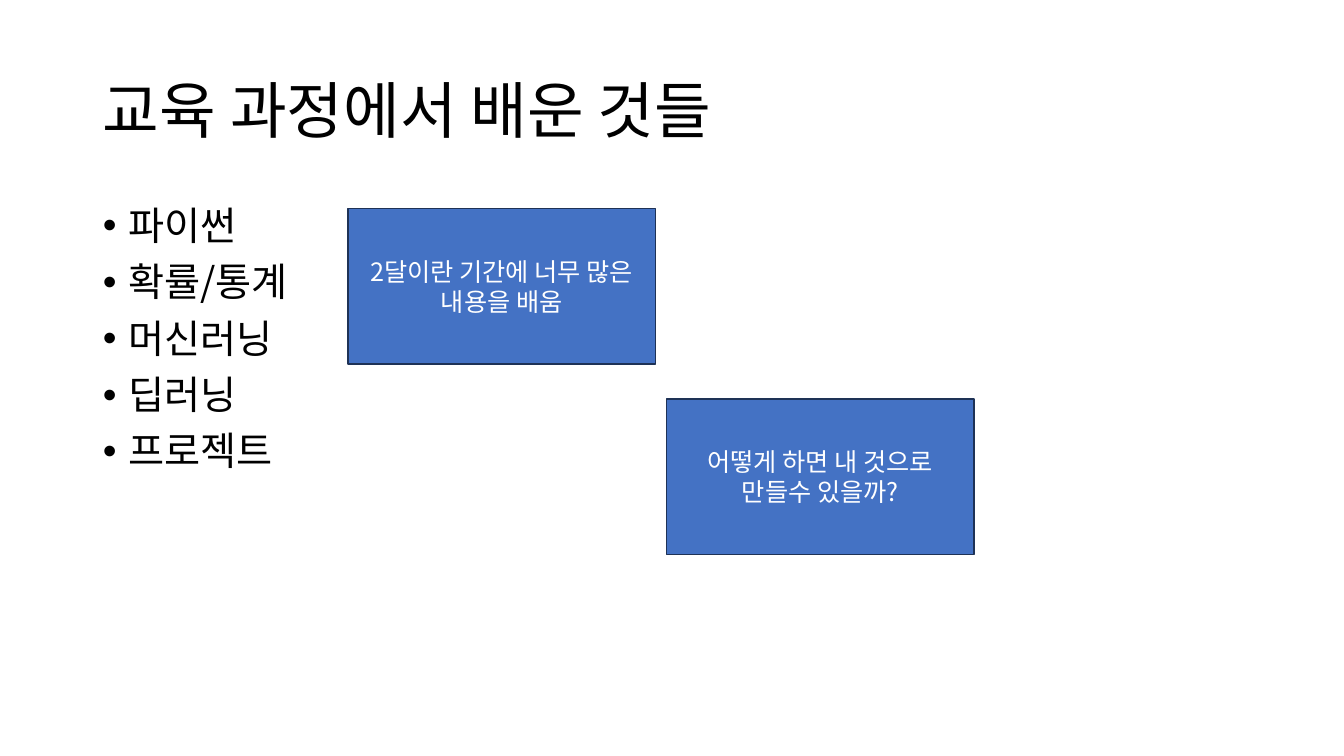
from lxml.etree import SubElement
from pptx import Presentation
from pptx.dml.color import RGBColor
from pptx.enum.shapes import MSO_SHAPE
from pptx.enum.text import MSO_ANCHOR, MSO_AUTO_SIZE, PP_ALIGN
from pptx.oxml.ns import qn
from pptx.util import Inches, Pt


def color(value):
    return RGBColor.from_string(value)


class SlideBuilder:
    """Holds the slide and its style, and adds each kind of element."""

    FONT = "Noto Sans CJK KR"
    INK = "000000"
    BOX_FILL = "4472C4"
    BOX_LINE = "1E3256"
    BOX_INK = "FFFFFF"

    def __init__(self, slide):
        self.slide = slide

    def place(self, holder, left, top, width, height):
        holder.left, holder.top = Inches(left), Inches(top)
        holder.width, holder.height = Inches(width), Inches(height)

    def prepare(self, frame, anchor):
        frame.word_wrap = True
        frame.auto_size = MSO_AUTO_SIZE.NONE
        frame.vertical_anchor = anchor

    def add_text(self, paragraph, text, size, ink, align):
        paragraph.alignment = align
        run = paragraph.add_run()
        run.text = text
        run.font.size = Pt(size)
        run.font.color.rgb = color(ink)
        run.font.name = self.FONT
        properties = run._r.get_or_add_rPr()
        SubElement(properties, qn("a:ea")).set("typeface", self.FONT)

    def title(self, text, *bounds):
        heading = self.slide.shapes.title
        self.place(heading, *bounds)
        self.prepare(heading.text_frame, MSO_ANCHOR.MIDDLE)
        paragraph = heading.text_frame.paragraphs[0]
        paragraph.line_spacing = 0.9
        self.add_text(paragraph, text, 44, self.INK, PP_ALIGN.LEFT)

    def bullets(self, items, *bounds):
        body = self.slide.placeholders[1]
        self.place(body, *bounds)
        frame = body.text_frame
        self.prepare(frame, MSO_ANCHOR.TOP)
        for index, item in enumerate(items):
            paragraph = frame.add_paragraph() if index else frame.paragraphs[0]
            paragraph.line_spacing = 0.9
            paragraph.space_before = Pt(10 if index else 0)
            properties = paragraph._p.get_or_add_pPr()
            properties.set("marL", str(Inches(0.25)))
            properties.set("indent", str(Inches(-0.25)))
            SubElement(properties, qn("a:buFont")).set("typeface", "Arial")
            SubElement(properties, qn("a:buChar")).set("char", "•")
            self.add_text(paragraph, item, 28, self.INK, PP_ALIGN.LEFT)

    def box(self, text, *bounds):
        left, top, width, height = map(Inches, bounds)
        note = self.slide.shapes.add_shape(
            MSO_SHAPE.RECTANGLE, left, top, width, height)
        note.shadow.inherit = False
        note.fill.solid()
        note.fill.fore_color.rgb = color(self.BOX_FILL)
        note.line.color.rgb = color(self.BOX_LINE)
        note.line.width = Pt(1)
        self.prepare(note.text_frame, MSO_ANCHOR.MIDDLE)
        self.add_text(note.text_frame.paragraphs[0], text, 18, self.BOX_INK,
                      PP_ALIGN.CENTER)


def main():
    deck = Presentation()
    deck.slide_width, deck.slide_height = Inches(13.33), Inches(7.5)
    builder = SlideBuilder(deck.slides.add_slide(deck.slide_layouts[1]))
    builder.title("교육 과정에서 배운 것들", 0.92, 0.4, 11.5, 1.45)
    topics = ["파이썬", "확률/통계", "머신러닝", "딥러닝", "프로젝트"]
    builder.bullets(topics, 0.92, 2, 11.5, 4.76)
    builder.box("2달이란 기간에 너무 많은 내용을 배움", 3.45, 2.07, 3.05, 1.54)
    builder.box("어떻게 하면 내 것으로 만들수 있을까?", 6.61, 3.96, 3.05, 1.54)
    deck.save("out.pptx")


if __name__ == "__main__":
    main()
